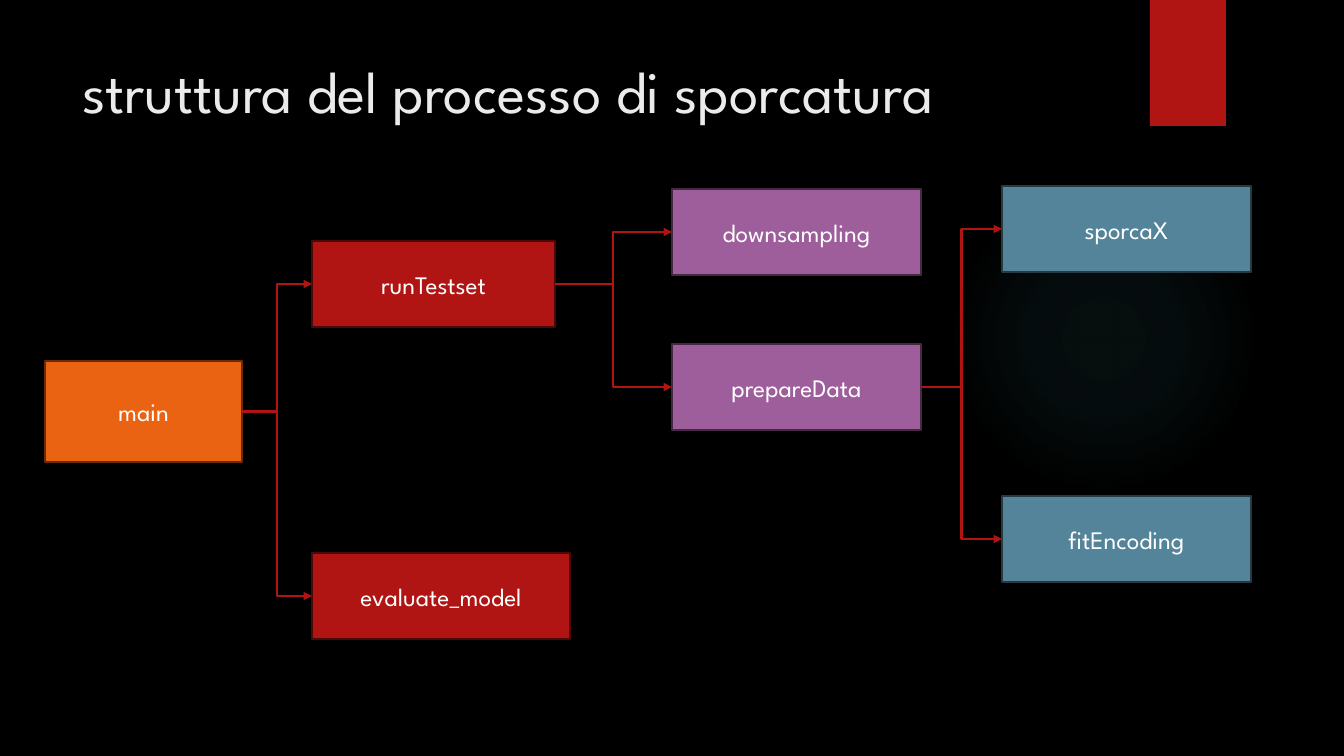
from lxml import etree
from pptx import Presentation
from pptx.dml.color import RGBColor
from pptx.enum.shapes import MSO_CONNECTOR, MSO_SHAPE
from pptx.enum.text import MSO_ANCHOR, MSO_AUTO_SIZE, PP_ALIGN
from pptx.oxml import parse_xml
from pptx.oxml.ns import nsdecls, qn
from pptx.util import Pt

SLIDE_WIDTH, SLIDE_HEIGHT = 1344, 756
EMU_PER_PX = 12192000 / SLIDE_WIDTH
TITLE_ONLY = 5
LEFT_SITE, RIGHT_SITE = 1, 3

ELBOW = MSO_CONNECTOR.ELBOW
RECTANGLE, OVAL = MSO_SHAPE.RECTANGLE, MSO_SHAPE.OVAL
TOP, MIDDLE = MSO_ANCHOR.TOP, MSO_ANCHOR.MIDDLE
LEFT, CENTER = PP_ALIGN.LEFT, PP_ALIGN.CENTER
NO_AUTOFIT = MSO_AUTO_SIZE.NONE

BLACK = RGBColor(0x00, 0x00, 0x00)
WHITE = RGBColor(0xFF, 0xFF, 0xFF)
TITLE_GREY = RGBColor(0xEB, 0xEB, 0xEB)
GLOW_TEAL = RGBColor(0x50, 0xB9, 0xC1)
RED = RGBColor(0xB0, 0x15, 0x13)
DARK_RED = RGBColor(0x4D, 0x09, 0x08)
ORANGE = RGBColor(0xEA, 0x63, 0x12)
DARK_ORANGE = RGBColor(0x67, 0x2B, 0x08)
PURPLE = RGBColor(0x9E, 0x5E, 0x9B)
DARK_PURPLE = RGBColor(0x45, 0x29, 0x44)
BLUE = RGBColor(0x54, 0x84, 0x9A)
DARK_BLUE = RGBColor(0x25, 0x3A, 0x43)

FONT_NAME = "League Spartan"
TITLE_FONT = {"name": FONT_NAME, "size": Pt(42)}
STEP_FONT = {"name": FONT_NAME, "size": Pt(18)}
LINE_WIDTH = Pt(1.5)
GLOW_STOPS = [(0, 7), (36, 6), (69, 0)]

STEPS = {
    "main": ((45, 361, 197, 101), ORANGE, DARK_ORANGE),
    "runTestset": ((312, 241, 243, 86), RED, DARK_RED),
    "evaluate_model": ((312, 553, 258, 86), RED, DARK_RED),
    "downsampling": ((672, 189, 249, 86), PURPLE, DARK_PURPLE),
    "prepareData": ((672, 344, 249, 86), PURPLE, DARK_PURPLE),
    "sporcaX": ((1002, 186, 249, 86), BLUE, DARK_BLUE),
    "fitEncoding": ((1002, 496, 249, 86), BLUE, DARK_BLUE),
}
CALLS = {
    "main": ["runTestset", "evaluate_model"],
    "runTestset": ["downsampling", "prepareData"],
    "prepareData": ["fitEncoding", "sporcaX"],
}


def px(length):
    return round(length * EMU_PER_PX)


def apply_format(target, values):
    for name, value in values.items():
        setattr(target, name, value)


def write_text(shape, text, font_values, color, alignment, anchor):
    frame = shape.text_frame
    apply_format(frame, {"text": text, "word_wrap": True,
                         "auto_size": NO_AUTOFIT, "vertical_anchor": anchor})
    paragraph = frame.paragraphs[0]
    paragraph.alignment = alignment
    font = paragraph.runs[0].font
    apply_format(font, font_values)
    font.color.rgb = color


def add_filled_shape(slide, kind, box, fill_color):
    shape = slide.shapes.add_shape(kind, *map(px, box))
    shape.shadow.inherit = False
    shape.fill.solid()
    shape.fill.fore_color.rgb = fill_color
    shape.line.fill.background()
    return shape


def add_glow(slide, box):
    shape = add_filled_shape(slide, OVAL, box, GLOW_TEAL)
    stops = "".join(
        f'<a:gs pos="{position * 1000}"><a:srgbClr val="{GLOW_TEAL}">'
        f'<a:alpha val="{opacity * 1000}"/></a:srgbClr></a:gs>'
        for position, opacity in GLOW_STOPS)
    gradient = parse_xml(
        f'<a:gradFill {nsdecls("a")} rotWithShape="1"><a:gsLst>{stops}</a:gsLst>'
        '<a:path path="circle"><a:fillToRect l="50000" t="50000" r="50000" b="50000"/>'
        '</a:path></a:gradFill>')
    properties = shape.element.spPr
    properties.replace(properties.find(qn("a:solidFill")), gradient)


def add_title(slide, box, text):
    title = slide.shapes.title
    apply_format(title, dict(zip(("left", "top", "width", "height"), map(px, box))))
    write_text(title, text, TITLE_FONT, TITLE_GREY, LEFT, TOP)


def add_step(slide, text, box, fill_color, line_color):
    shape = add_filled_shape(slide, RECTANGLE, box, fill_color)
    shape.line.color.rgb = line_color
    shape.line.width = LINE_WIDTH
    write_text(shape, text, STEP_FONT, WHITE, CENTER, MIDDLE)
    return shape


def add_arrow(slide, caller, callee):
    connector = slide.shapes.add_connector(ELBOW, 0, 0, 0, 0)
    connector.begin_connect(caller, RIGHT_SITE)
    connector.end_connect(callee, LEFT_SITE)
    connector.line.color.rgb = RED
    connector.line.width = LINE_WIDTH
    properties = connector.element.spPr
    etree.SubElement(properties.find(qn("a:ln")), qn("a:tailEnd"), type="triangle")
    etree.SubElement(properties, qn("a:effectLst"))


def add_call_tree(slide):
    shapes = {name: add_step(slide, name, *step) for name, step in STEPS.items()}
    for caller, callees in CALLS.items():
        for callee in callees:
            add_arrow(slide, shapes[caller], shapes[callee])


def build_process_slide(presentation):
    slide = presentation.slides.add_slide(presentation.slide_layouts[TITLE_ONLY])
    slide.background.fill.solid()
    slide.background.fill.fore_color.rgb = BLACK
    add_glow(slide, (949, 184, 310, 310))
    add_filled_shape(slide, RECTANGLE, (1150, 0, 76, 126), RED)
    add_title(slide, (72, 50, 1037, 154), "struttura del processo di sporcatura")
    add_call_tree(slide)


def main():
    presentation = Presentation()
    presentation.slide_width = px(SLIDE_WIDTH)
    presentation.slide_height = px(SLIDE_HEIGHT)
    build_process_slide(presentation)
    presentation.save("out.pptx")


if __name__ == "__main__":
    main()
